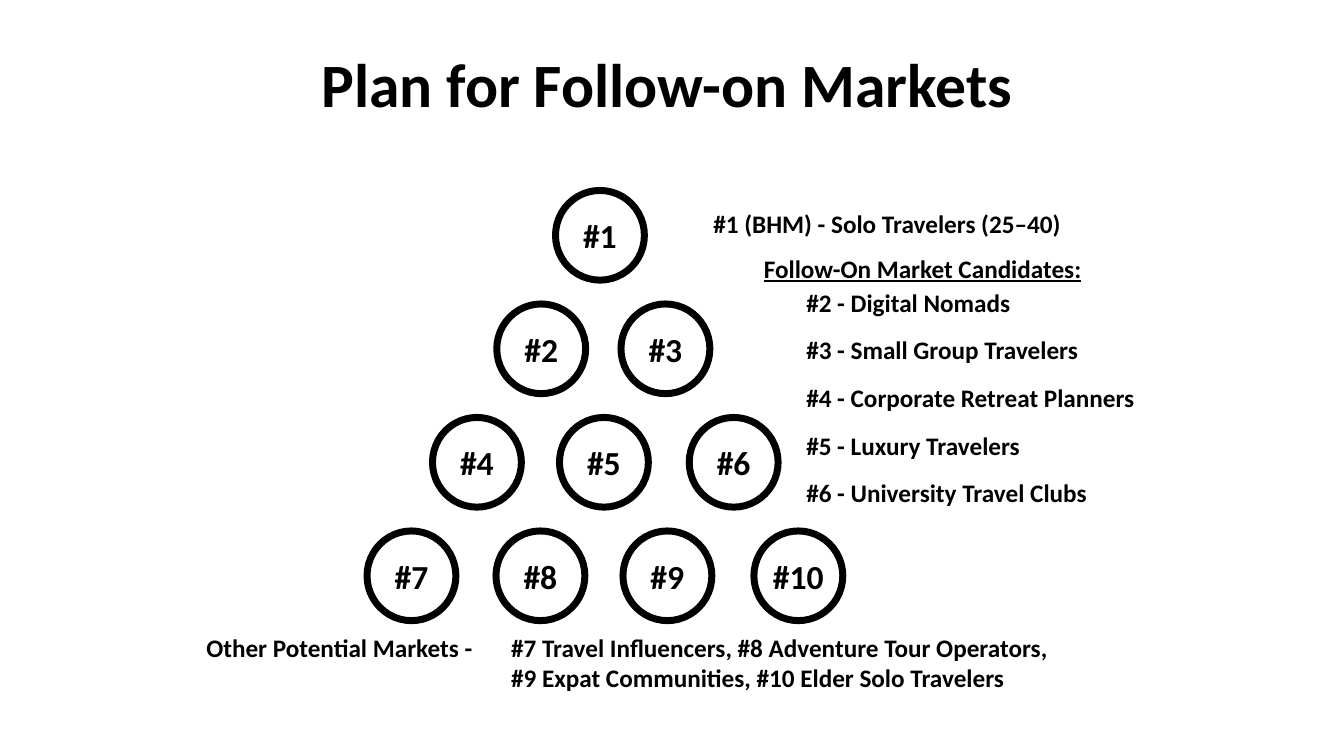
import pptx
import pptx.dml.color
import pptx.enum.shapes
import pptx.enum.text
import pptx.util

Cm = pptx.util.Cm
Pt = pptx.util.Pt
ALIGN = pptx.enum.text.PP_ALIGN
ANCHOR = pptx.enum.text.MSO_ANCHOR


def color(hex_string):
    return pptx.dml.color.RGBColor.from_string(hex_string)


def write_text(shape, text, size=18, font="Calibri", ink="000000", bold=True,
               underline=False, align=ALIGN.LEFT, anchor=ANCHOR.TOP,
               wrap=True, line_spacing=None, hanging=0):
    frame = shape.text_frame
    frame.word_wrap = wrap
    frame.vertical_anchor = anchor
    paragraph = frame.paragraphs[0]
    paragraph.text = text
    paragraph.alignment = align
    if line_spacing:
        paragraph.line_spacing = line_spacing
    if hanging:
        properties = paragraph._p.get_or_add_pPr()
        properties.set("marL", str(Cm(hanging)))
        properties.set("indent", str(-Cm(hanging)))
    for run in paragraph.runs:
        run.font.name = font
        run.font.size = Pt(size)
        run.font.bold = bold
        run.font.underline = underline
        run.font.color.rgb = color(ink)


class MarketSlide:
    ink = "000000"
    ring_width = 5
    ring_size = (2.24, 2.26)

    def __init__(self, presentation):
        self.slide = presentation.slides.add_slide(presentation.slide_layouts[5])

    def title(self, text, left, top, width, height):
        shape = self.slide.shapes.title
        shape.left, shape.top = Cm(left), Cm(top)
        shape.width, shape.height = Cm(width), Cm(height)
        write_text(shape, text, size=44, ink=self.ink, align=ALIGN.CENTER,
                   anchor=ANCHOR.MIDDLE, line_spacing=0.9)

    def label(self, text, left, top, width, height=1.02, **style):
        shape = self.slide.shapes.add_textbox(Cm(left), Cm(top), Cm(width), Cm(height))
        write_text(shape, text, ink=self.ink, **style)

    def ring(self, text, left, top):
        width, height = self.ring_size
        shape = self.slide.shapes.add_shape(
            pptx.enum.shapes.MSO_SHAPE.OVAL, Cm(left), Cm(top), Cm(width), Cm(height))
        shape.shadow.inherit = False
        shape.fill.background()
        shape.line.color.rgb = color(self.ink)
        shape.line.width = Pt(self.ring_width)
        write_text(shape, text, size=24, ink=self.ink, align=ALIGN.CENTER,
                   anchor=ANCHOR.MIDDLE, wrap=False)


def main():
    presentation = pptx.Presentation()
    presentation.slide_width = Cm(33.87)
    presentation.slide_height = Cm(19.05)
    page = MarketSlide(presentation)
    page.title("Plan for Follow-on Markets", 2.21, 0.36, 29.21, 3.68)

    pyramid = [[14], [12.52, 15.65], [10.9, 14.1, 17.37], [9.25, 12.5, 15.7, 19]]
    number = 1
    for row, lefts in enumerate(pyramid):
        for left in lefts:
            page.ring(f"#{number}", left, 4.8 + 2.86 * row)
            number += 1

    page.label("#1 (BHM) - Solo Travelers (25–40)", 17.73, 5.13, 9.8)
    page.label("Follow-On Market Candidates:", 19, 6.25, 9, underline=True)
    candidates = ["Digital Nomads", "Small Group Travelers", "Corporate Retreat Planners",
                  "Luxury Travelers", "University Travel Clubs"]
    for index, market in enumerate(candidates):
        page.label(f"#{index + 2} - {market}", 20.07, 7.11 + 1.2 * index, 9.2)

    page.label("Other Potential Markets - \t#7 Travel Influencers, #8 Adventure Tour Operators,"
               "\v#9 Expat Communities, #10 Elder Solo Travelers",
               4.95, 15.8, 22.5, 1.8, hanging=7.68)
    presentation.save("out.pptx")


if __name__ == "__main__":
    main()
